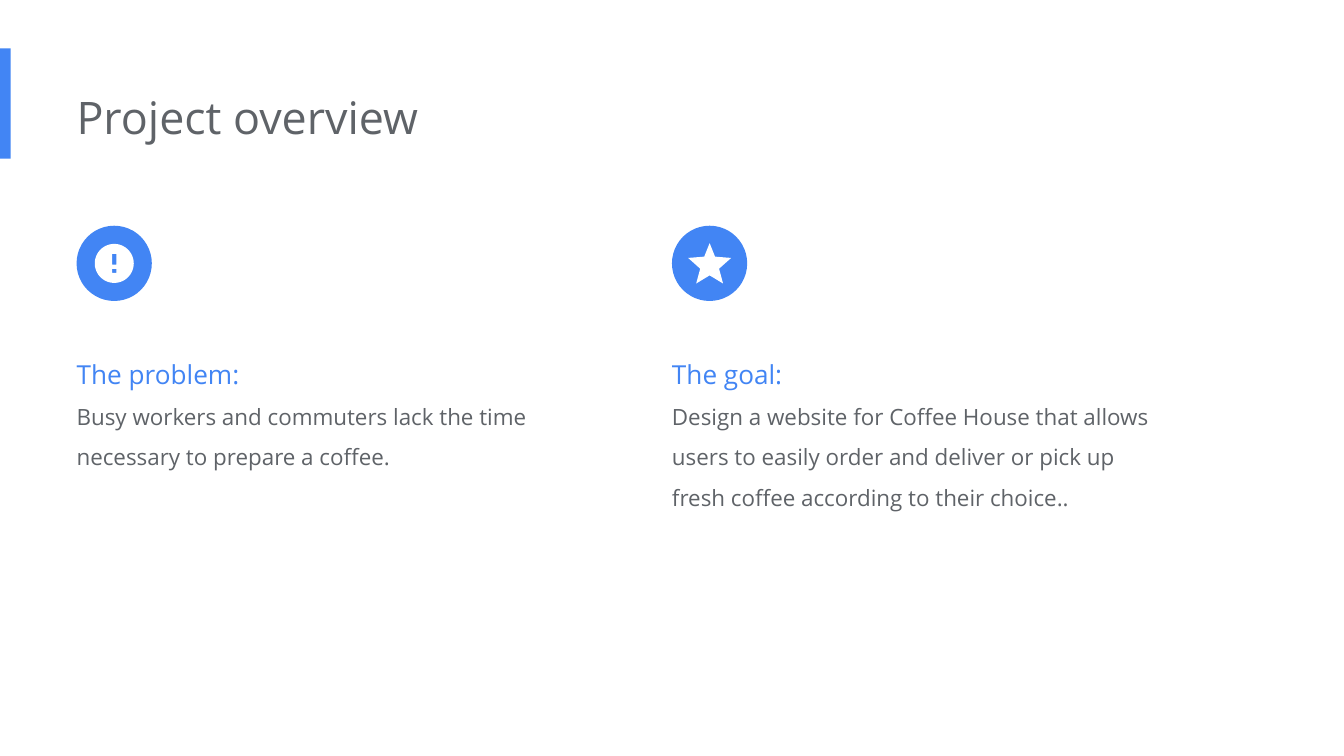
from math import cos, pi, sin

from pptx import Presentation
from pptx.dml.color import RGBColor
from pptx.enum.shapes import MSO_SHAPE
from pptx.util import Inches, Pt

RECTANGLE = MSO_SHAPE.RECTANGLE
OVAL = MSO_SHAPE.OVAL
BLUE = RGBColor(0x42, 0x85, 0xF4)
GRAY = RGBColor(0x5F, 0x63, 0x68)
WHITE = RGBColor(0xFF, 0xFF, 0xFF)
FONT = "Open Sans"

MARGIN = 0.57
COLUMN_PITCH = 4.43
COLUMN_WIDTH = 3.77
ICON_TOP = 1.68
ICON_SIZE = 0.56
TEXT_TOP = 2.45

presentation = Presentation()
presentation.slide_width = Inches(10)
presentation.slide_height = presentation.slide_width * 9 // 16
slide = presentation.slides.add_slide(presentation.slide_layouts[6])


def paint(shape, color):
    shape.shadow.inherit = False
    shape.fill.solid()
    shape.fill.fore_color.rgb = color
    shape.line.fill.background()


def add_text(left, top, width, height, lines, spacing):
    box = slide.shapes.add_textbox(Inches(left), Inches(top), Inches(width), Inches(height))
    frame = box.text_frame
    frame.word_wrap = True
    frame.margin_left = 0
    frame.margin_top = frame.margin_right = frame.margin_bottom = Inches(0.1)
    for index, (text, size, color) in enumerate(lines):
        paragraph = frame.add_paragraph() if index else frame.paragraphs[0]
        paragraph.text = text
        paragraph.line_spacing = spacing
        paragraph.font.name = FONT
        paragraph.font.size = Pt(size)
        paragraph.font.color.rgb = color


accent = slide.shapes.add_shape(RECTANGLE, 0, Inches(0.36), Inches(0.08), Inches(0.82))
paint(accent, BLUE)
add_text(MARGIN, 0.57, 6.73, 0.61, [("Project overview", 24, GRAY)], 1.0)

DISC_STEPS = 72
DISC_RADIUS = 0.29 / 2
BAR_HALF = 0.03 / 2
disc = [
    (DISC_RADIUS * cos(2 * pi * step / DISC_STEPS), DISC_RADIUS * sin(2 * pi * step / DISC_STEPS))
    for step in range(DISC_STEPS)
]
exclamation_parts = [
    [(-BAR_HALF, top), (-BAR_HALF, bottom), (BAR_HALF, bottom), (BAR_HALF, top)]
    for top, bottom in [(-0.07, 0.01), (0.04, 0.07)]
]
star_half = [(0, -0.15), (0.04, -0.05), (0.16, -0.04), (0.07, 0.04), (0.1, 0.15)]
star = star_half + [(0, 0.09)] + [(-x, y) for x, y in star_half[:0:-1]]

sections = [
    (
        "The problem:",
        "Busy workers and commuters lack the time necessary to prepare a coffee.",
        1.06,
        [disc] + exclamation_parts,
    ),
    (
        "The goal:",
        "Design a website for Coffee House that allows users to easily order and "
        "deliver or pick up fresh coffee according to their choice..",
        1.46,
        [star],
    ),
]

for column, (heading, body, height, outlines) in enumerate(sections):
    left = MARGIN + column * COLUMN_PITCH
    add_text(left, TEXT_TOP, COLUMN_WIDTH, height, [(heading, 14, BLUE), (body, 12, GRAY)], 1.5)

    circle = slide.shapes.add_shape(
        OVAL, Inches(left), Inches(ICON_TOP), Inches(ICON_SIZE), Inches(ICON_SIZE)
    )
    paint(circle, BLUE)

    center_x = left + ICON_SIZE / 2
    center_y = ICON_TOP + ICON_SIZE / 2
    contours = [
        [(Inches(center_x + x), Inches(center_y + y)) for x, y in outline] for outline in outlines
    ]
    builder = slide.shapes.build_freeform(*contours[0][0])
    builder.add_line_segments(contours[0][1:], close=True)
    for contour in contours[1:]:
        builder.move_to(*contour[0])
        builder.add_line_segments(contour[1:], close=True)
    paint(builder.convert_to_shape(), WHITE)

presentation.save("out.pptx")
